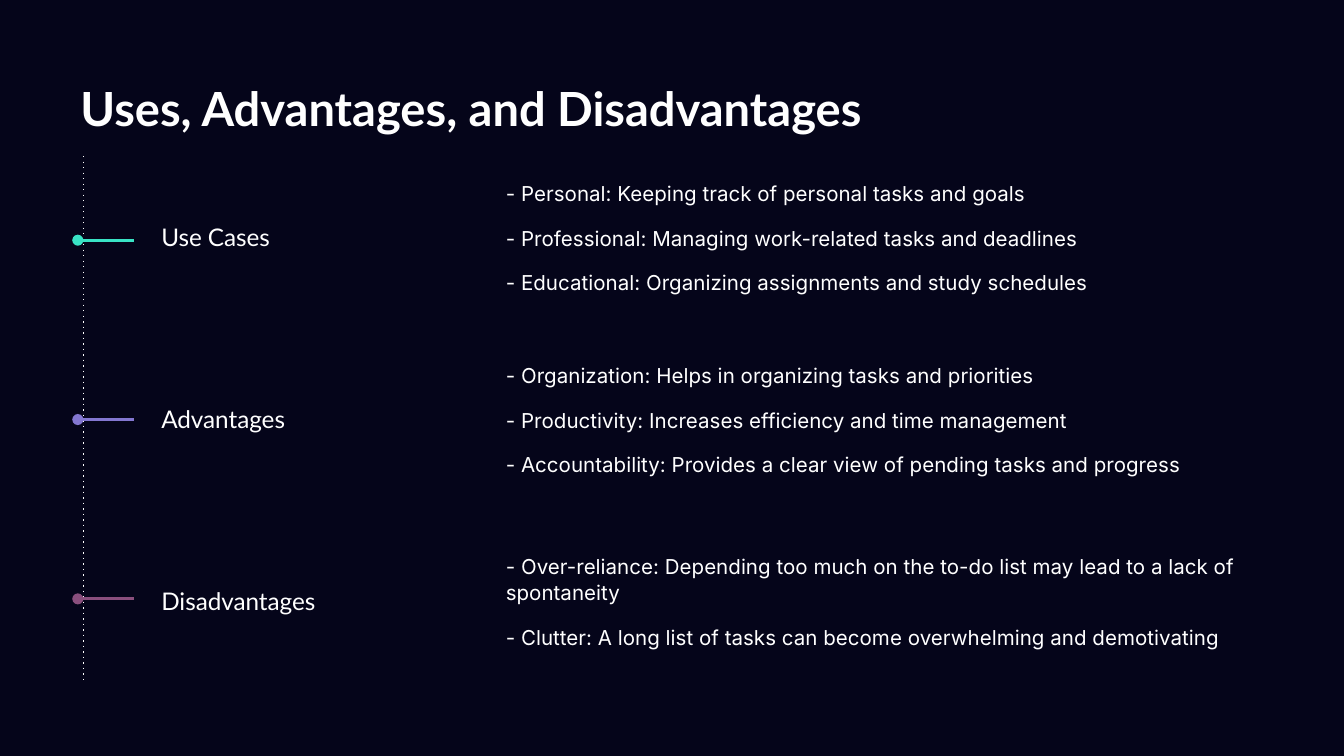
from lxml.etree import SubElement
from pptx import Presentation
from pptx.dml.color import RGBColor
from pptx.enum.shapes import MSO_CONNECTOR
from pptx.enum.text import MSO_ANCHOR, MSO_AUTO_SIZE, PP_ALIGN
from pptx.oxml.ns import qn
from pptx.util import Cm, Pt

NIGHT = RGBColor(0x05, 0x05, 0x1A)
WHITE = RGBColor(0xFF, 0xFF, 0xFF)
MINT = RGBColor(0x39, 0xE3, 0xC5)
VIOLET = RGBColor(0x83, 0x77, 0xD1)
PLUM = RGBColor(0x8A, 0x4F, 0x7D)

ROWS = [
    ("Use Cases", MINT, [
        "- Personal: Keeping track of personal tasks and goals",
        "- Professional: Managing work-related tasks and deadlines",
        "- Educational: Organizing assignments and study schedules"]),
    ("Advantages", VIOLET, [
        "- Organization: Helps in organizing tasks and priorities",
        "- Productivity: Increases efficiency and time management",
        "- Accountability: Provides a clear view of pending tasks and progress"]),
    ("Disadvantages", PLUM, [
        "- Over-reliance: Depending too much on the to-do list may lead "
        "to a lack of spontaneity",
        "- Clutter: A long list of tasks can become overwhelming and demotivating"]),
]
ROW_STEP, ROW_HIGH = 3.44, 3.07
TICK_STEP = 3.39


def style(para, font, size, bold=False):
    para.alignment = PP_ALIGN.LEFT
    para.font.name = font
    para.font.size = Pt(size)
    para.font.bold = bold
    para.font.color.rgb = WHITE


def set_frame(frame, left=0.25, right=0.25):
    frame.word_wrap = True
    frame.auto_size = MSO_AUTO_SIZE.NONE
    frame.vertical_anchor = MSO_ANCHOR.MIDDLE
    frame.margin_left, frame.margin_right = Cm(left), Cm(right)
    frame.margin_top = frame.margin_bottom = Cm(0.25)


def add_text(slide, box, left, right):
    frame = slide.shapes.add_textbox(*map(Cm, box)).text_frame
    set_frame(frame, left, right)
    return frame


def add_line(slide, start, end, color, width, tag, kind):
    line = slide.shapes.add_connector(
        MSO_CONNECTOR.STRAIGHT, *map(Cm, start + end))
    line.line.color.rgb = color
    line.line.width = Pt(width)
    props = line._element.spPr
    SubElement(props.find(qn("a:ln")), qn(tag)).set(*kind)
    SubElement(props, qn("a:effectLst"))


def add_title(slide, box, text):
    title = slide.shapes.title
    title.left, title.top, title.width, title.height = map(Cm, box)
    set_frame(title.text_frame)
    title.text_frame.text = text
    style(title.text_frame.paragraphs[0], "Lato", 25.2, True)


def add_row(slide, box, label, points):
    left, top, width, height = box
    split = 6.0

    # Label
    frame = add_text(slide, (left, top, split, height), 0.51, 0.25)
    frame.text = label
    para = frame.paragraphs[0]
    style(para, "Lato", 13)
    para.space_after = Pt(10)

    # Points
    frame = add_text(
        slide, (left + split, top, width - split, height), 1.02, 0.51)
    frame.text = "\n".join(points)
    for para in frame.paragraphs:
        style(para, "Inter", 11)
        para.line_spacing = 1.05
    for para in frame.paragraphs[1:]:
        para.space_before = Pt(10)
    frame.paragraphs[-1].space_after = Pt(10)


def add_rail(slide, box, colors):
    left, top, width, height = box
    # Dotted spine
    spine = left + 0.11
    add_line(slide, (spine, top), (spine, top + height), WHITE, 0.75,
             "a:prstDash", ("val", "dot"))
    # Ticks with a round head
    for i, color in enumerate(colors):
        y = top + 1.59 + i * TICK_STEP
        add_line(slide, (left, y), (left + width, y), color, 1.5,
                 "a:headEnd", ("type", "oval"))


def main():
    deck = Presentation()
    deck.slide_width, deck.slide_height = Cm(25.4), Cm(14.29)
    slide = deck.slides.add_slide(deck.slide_layouts[5])
    slide.background.fill.solid()
    slide.background.fill.fore_color.rgb = NIGHT

    add_title(slide, (1.27, 1.24, 22.86, 1.6),
              "Uses, Advantages, and Disadvantages")
    top = 2.95
    for i, (label, _, points) in enumerate(ROWS):
        add_row(slide, (2.54, top + i * ROW_STEP, 21.59, ROW_HIGH),
                label, points)
    add_rail(slide, (1.47, top, 1.07, 2 * ROW_STEP + ROW_HIGH),
             [color for _, color, _ in ROWS])
    deck.save("out.pptx")


if __name__ == "__main__":
    main()
